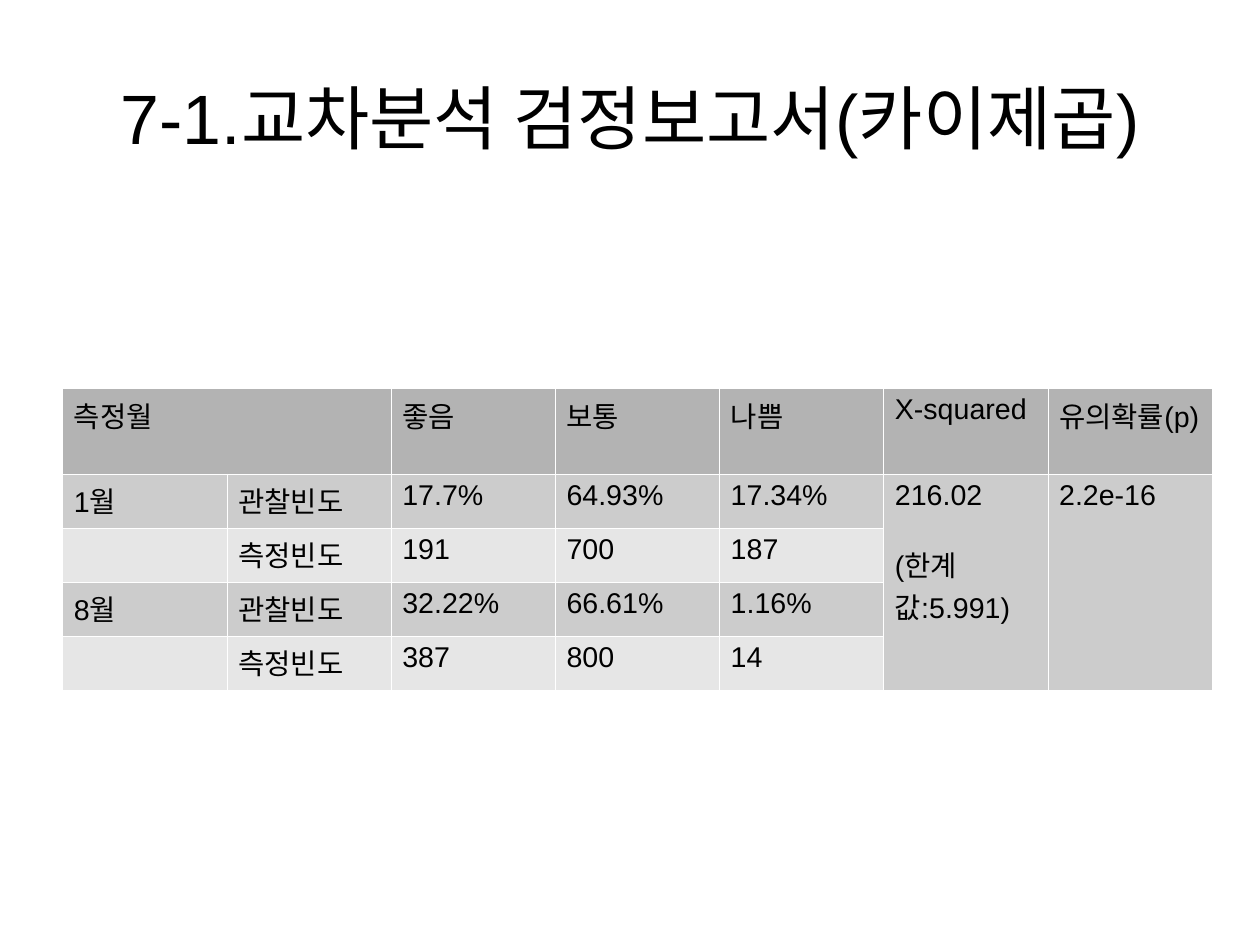
import pptx
import pptx.util
import pptx.dml.color
import pptx.enum.text
import pptx.oxml
import pptx.oxml.ns

Pt = pptx.util.Pt
RGBColor = pptx.dml.color.RGBColor

BLACK = RGBColor(0x00, 0x00, 0x00)
WHITE = RGBColor(0xFF, 0xFF, 0xFF)
HEADER_GRAY = RGBColor(0xB3, 0xB3, 0xB3)
DARK_BAND = RGBColor(0xCC, 0xCC, 0xCC)
LIGHT_BAND = RGBColor(0xE6, 0xE6, 0xE6)
ROW_FILLS = [HEADER_GRAY, DARK_BAND, LIGHT_BAND, DARK_BAND, LIGHT_BAND]

ROWS = [
    ["측정월", "", "좋음", "보통", "나쁨", "X-squared", "유의확률(p)"],
    ["1월", "관찰빈도", "17.7%", "64.93%", "17.34%", "216.02\n(한계값:5.991)", "2.2e-16"],
    ["", "측정빈도", "191", "700", "187", "", ""],
    ["8월", "관찰빈도", "32.22%", "66.61%", "1.16%", "", ""],
    ["", "측정빈도", "387", "800", "14", "", ""],
]
HEADER_HEIGHT, ROW_HEIGHT, COLUMN_WIDTH = 54, 34, 103.45


def format_text(paragraph, size):
    for run in paragraph.runs:
        run.font.name = "Arial"
        run.font.size = Pt(size)
        run.font.bold = False
        run.font.color.rgb = BLACK


def add_borders(cell):
    properties = cell._tc.get_or_add_tcPr()
    for index, side in enumerate(["lnL", "lnR", "lnT", "lnB"]):
        border = pptx.oxml.parse_xml(
            f'<a:{side} {pptx.oxml.ns.nsdecls("a")} w="{Pt(0.06)}"><a:solidFill>'
            f'<a:srgbClr val="{WHITE}"/></a:solidFill></a:{side}>')
        properties.insert(index, border)


presentation = pptx.Presentation()
presentation.slide_width = Pt(793.75)
presentation.slide_height = Pt(595.25)
slide = presentation.slides.add_slide(presentation.slide_layouts[5])

# Title
title = slide.shapes.title
title.left, title.top, title.width, title.height = Pt(39.7), Pt(23.7), Pt(714.3), Pt(99.4)
frame = title.text_frame
frame.text = "7-1.교차분석 검정보고서(카이제곱)"
frame.margin_left = frame.margin_right = frame.margin_top = frame.margin_bottom = 0
frame.vertical_anchor = pptx.enum.text.MSO_ANCHOR.MIDDLE
frame.auto_size = pptx.enum.text.MSO_AUTO_SIZE.SHAPE_TO_FIT_TEXT
frame.paragraphs[0].alignment = pptx.enum.text.PP_ALIGN.CENTER
format_text(frame.paragraphs[0], 44)

# Chi-squared table
row_count, column_count = len(ROWS), len(ROWS[0])
table = slide.shapes.add_table(
    row_count, column_count, Pt(39.4), Pt(244.6), Pt(COLUMN_WIDTH * column_count),
    Pt(HEADER_HEIGHT + ROW_HEIGHT * (row_count - 1))).table
table.first_row = table.horz_banding = False
for column in table.columns:
    column.width = Pt(COLUMN_WIDTH)
for row_index, row in enumerate(table.rows):
    row.height = Pt(ROW_HEIGHT if row_index else HEADER_HEIGHT)

# Merged month heading and test results
table.cell(0, 0).merge(table.cell(0, 1))
for column_index in (5, 6):
    table.cell(1, column_index).merge(table.cell(row_count - 1, column_index))

# Cell text, fills and borders
for row_index, texts in enumerate(ROWS):
    for column_index, text in enumerate(texts):
        cell = table.cell(row_index, column_index)
        cell.fill.solid()
        cell.fill.fore_color.rgb = DARK_BAND if cell.is_spanned else ROW_FILLS[row_index]
        cell.margin_left = cell.margin_right = Pt(7.2)
        cell.margin_top = cell.margin_bottom = Pt(3.6)
        add_borders(cell)
        if text:
            cell.text_frame.text = text
            for paragraph in cell.text_frame.paragraphs:
                format_text(paragraph, 18)

# Gap above the critical value
table.cell(1, 5).text_frame.paragraphs[1].space_before = Pt(20)

presentation.save("out.pptx")
